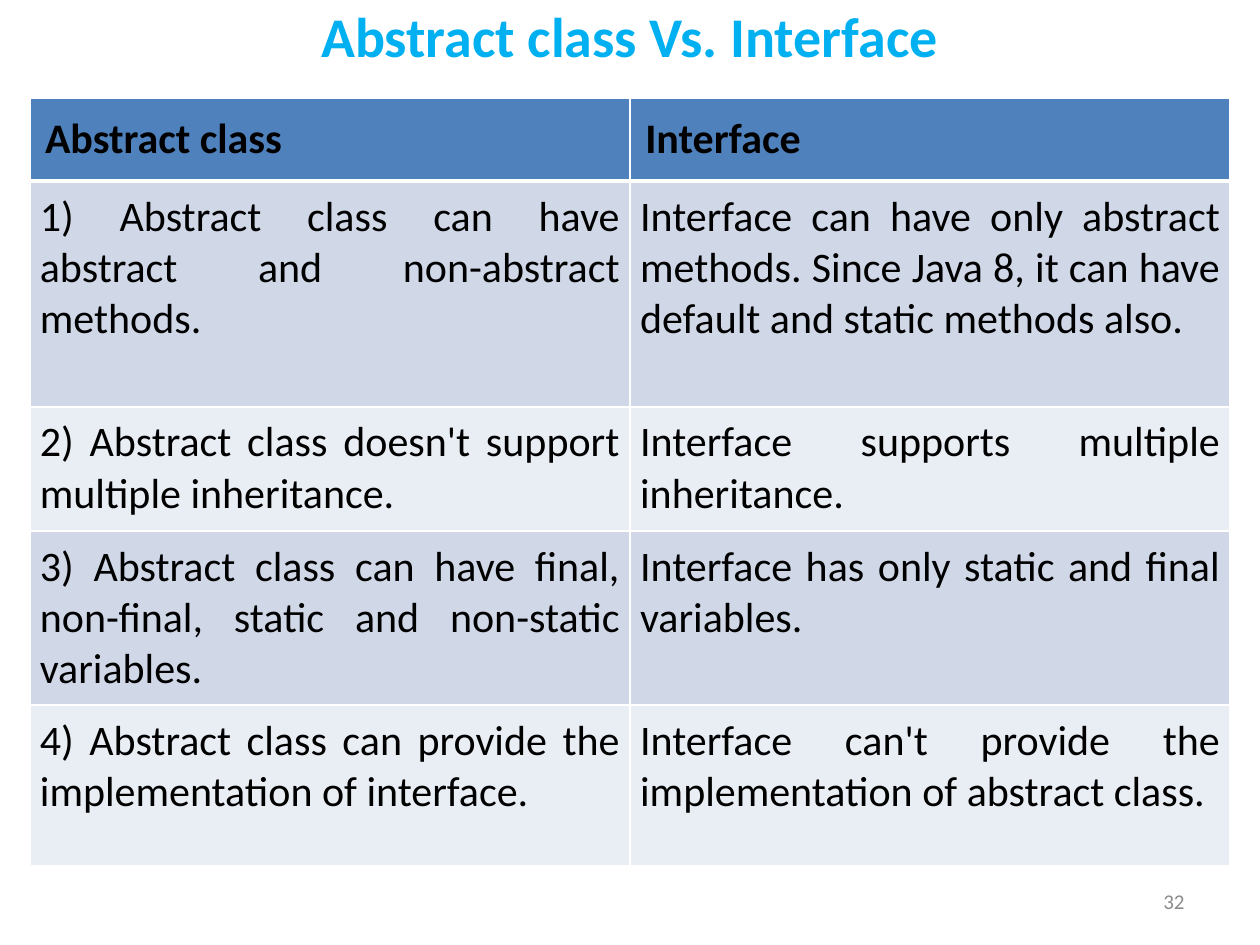
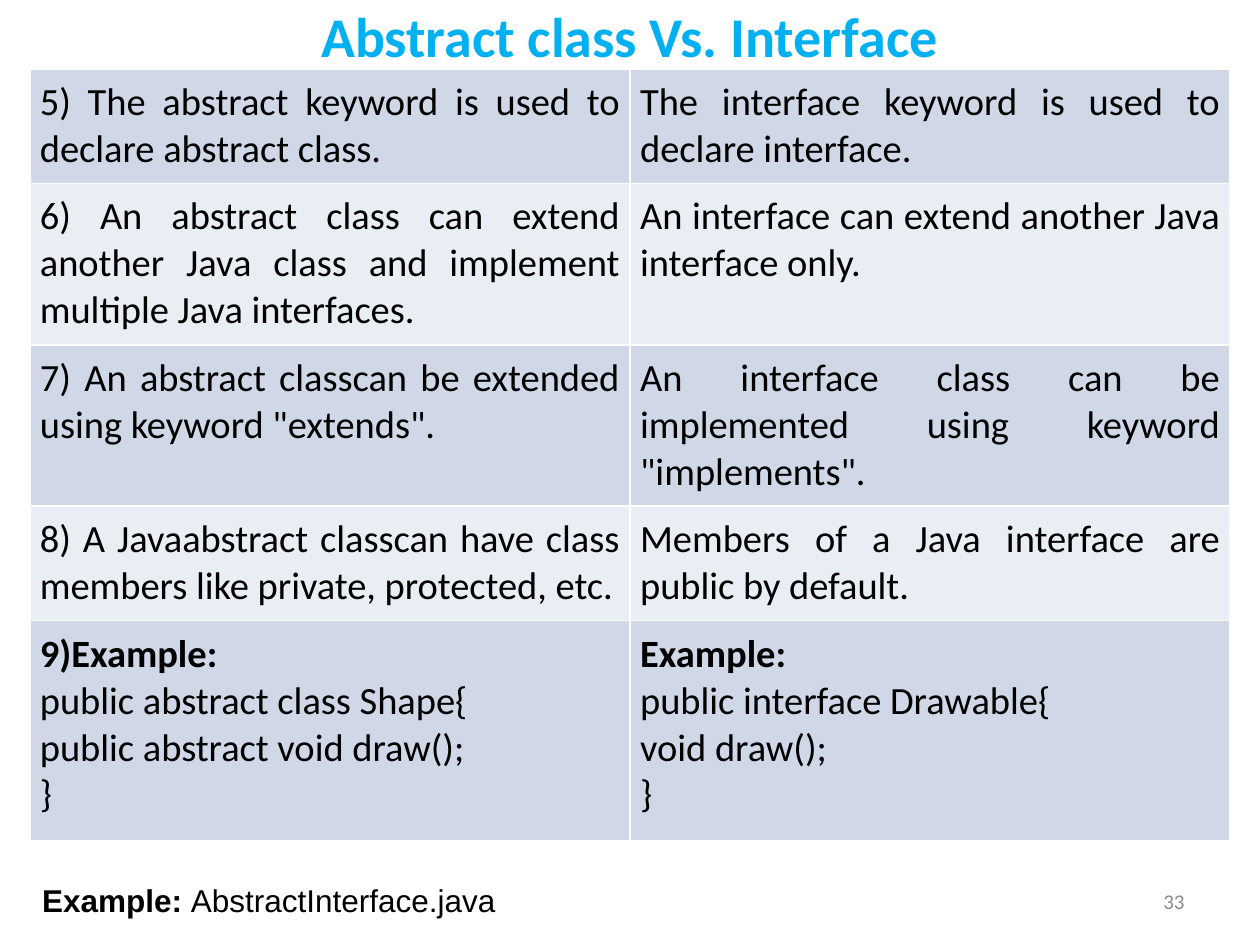
from lxml.etree import SubElement
from pptx import Presentation
from pptx.dml.color import RGBColor
from pptx.enum.text import MSO_ANCHOR, MSO_AUTO_SIZE, PP_ALIGN
from pptx.oxml.ns import qn
from pptx.util import Pt

TITLE_BLUE = RGBColor(0x00, 0xB0, 0xF0)
HEADER_BLUE = RGBColor(0x4F, 0x81, 0xBD)
BAND_DARK = RGBColor(0xD0, 0xD8, 0xE8)
BAND_LIGHT = RGBColor(0xE9, 0xED, 0xF4)
WHITE = RGBColor(0xFF, 0xFF, 0xFF)
BLACK = RGBColor(0x00, 0x00, 0x00)
GREY = RGBColor(0x8C, 0x8C, 0x8C)

BODY_FONT = "Calibri"
TITLE = "Abstract class Vs. Interface"
TABLE_LEFT = 17
COLUMN_WIDTH = 343
TITLE_ONLY_LAYOUT = 5

HEADER = ("Abstract class", "Interface")
METHODS_AND_VARIABLES = [
    ("1) Abstract class can have abstract and non-abstract methods.",
     "Interface can have only abstract methods. Since Java 8, it can have default and static methods also."),
    ("2) Abstract class doesn't support multiple inheritance.",
     "Interface supports multiple inheritance."),
    ("3) Abstract class can have final, non-final, static and non-static variables.",
     "Interface has only static and final variables."),
    ("4) Abstract class can provide the implementation of interface.",
     "Interface can't provide the implementation of abstract class."),
]
KEYWORDS_AND_EXAMPLES = [
    ("5) The abstract keyword is used to declare abstract class.",
     "The interface keyword is used to declare interface."),
    ("6) An abstract class can extend another Java class and implement multiple Java interfaces.",
     "An interface can extend another Java interface only."),
    ("7) An abstract classcan be extended using keyword \"extends\".",
     "An interface class can be implemented using keyword \"implements\"."),
    ("8) A Javaabstract classcan have class members like private, protected, etc.",
     "Members of a Java interface are public by default."),
    ("9)Example:\npublic abstract class Shape{\npublic abstract void draw();\n}",
     "Example:\npublic interface Drawable{\nvoid draw();\n}"),
]


def format_run(run, size, color, bold=False, font=BODY_FONT):
    run.font.name = font
    run.font.size = Pt(size)
    run.font.color.rgb = color
    run.font.bold = bold


def add_titled_slide(presentation):
    slide = presentation.slides.add_slide(presentation.slide_layouts[TITLE_ONLY_LAYOUT])
    title = slide.shapes.title
    title.left, title.top, title.width, title.height = Pt(36), Pt(0), Pt(648), Pt(39.6)
    text_frame = title.text_frame
    text_frame.text = TITLE
    text_frame.auto_size = MSO_AUTO_SIZE.NONE
    text_frame.vertical_anchor = MSO_ANCHOR.MIDDLE
    paragraph = text_frame.paragraphs[0]
    paragraph.alignment = PP_ALIGN.CENTER
    format_run(paragraph.runs[0], 32, TITLE_BLUE, bold=True)
    return slide


def add_text_box(slide, left, top, width, height):
    """Add a wrapping text box and return its text frame."""
    text_frame = slide.shapes.add_textbox(Pt(left), Pt(top), Pt(width), Pt(height)).text_frame
    text_frame.word_wrap = True
    return text_frame


def add_page_number(slide, number):
    text_frame = add_text_box(slide, 516, 500.5, 168, 28.75)
    text_frame.vertical_anchor = MSO_ANCHOR.MIDDLE
    paragraph = text_frame.paragraphs[0]
    paragraph.text = str(number)
    paragraph.alignment = PP_ALIGN.RIGHT
    format_run(paragraph.runs[0], 12, GREY)


def set_borders(cell, bottom_width):
    properties = cell._tc.get_or_add_tcPr()
    for side, width in (("L", 1), ("R", 1), ("T", 1), ("B", bottom_width)):
        line = SubElement(properties, qn(f"a:ln{side}"), w=str(Pt(width)))
        fill = SubElement(line, qn("a:solidFill"))
        SubElement(fill, qn("a:srgbClr"), val=str(WHITE))


def fill_cell(cell, text, size, color, margin, bottom_width=1):
    set_borders(cell, bottom_width)
    cell.fill.solid()
    cell.fill.fore_color.rgb = color
    cell.margin_left = cell.margin_right = cell.margin_top = cell.margin_bottom = Pt(margin)
    paragraph = cell.text_frame.paragraphs[0]
    paragraph.text = text
    for run in paragraph.runs:
        format_run(run, size, BLACK)
    return paragraph


def add_comparison_table(slide, top, row_heights, rows, size, header=None):
    """Add a two-column banded table; a cell of several lines is a code example."""
    table = slide.shapes.add_table(len(row_heights), 2, Pt(TABLE_LEFT), Pt(top),
                                   Pt(2 * COLUMN_WIDTH), Pt(sum(row_heights))).table
    table.first_row = table.horz_banding = False
    for column in table.columns:
        column.width = Pt(COLUMN_WIDTH)
    for row, height in zip(table.rows, row_heights):
        row.height = Pt(height)

    if header:
        for cell, text in zip(table.rows[0].cells, header):
            paragraph = fill_cell(cell, text, size, HEADER_BLUE, 8.75, bottom_width=3)
            paragraph.runs[0].font.bold = True
    first_body_row = 1 if header else 0
    for index, texts in enumerate(rows):
        band = BAND_LIGHT if index % 2 else BAND_DARK
        for cell, text in zip(table.rows[first_body_row + index].cells, texts):
            paragraph = fill_cell(cell, text, size, band, 5.8)
            if "\n" in text:
                paragraph.runs[0].font.bold = True
            else:
                paragraph.alignment = PP_ALIGN.JUSTIFY


def add_example_file(slide, label, file_name):
    paragraph = add_text_box(slide, TABLE_LEFT, 489, 528.5, 40).paragraphs[0]
    paragraph.alignment = PP_ALIGN.JUSTIFY
    paragraph.line_spacing = 1.5
    for text, bold in ((label, True), (file_name, False)):
        run = paragraph.add_run()
        run.text = text
        format_run(run, 18, BLACK, bold, font="Arial")


def main():
    presentation = Presentation()
    presentation.slide_width, presentation.slide_height = Pt(720), Pt(540)

    slide = add_titled_slide(presentation)
    add_comparison_table(slide, 56, [47.5, 129, 71, 99.5, 92],
                         METHODS_AND_VARIABLES, 24, HEADER)
    add_page_number(slide, 32)

    slide = add_titled_slide(presentation)
    add_comparison_table(slide, 39.6, [65, 92.5, 92, 65.5, 126], KEYWORDS_AND_EXAMPLES, 22)
    add_page_number(slide, 33)
    add_example_file(slide, "Example: ", "AbstractInterface.java")

    presentation.save("out.pptx")


if __name__ == "__main__":
    main()
